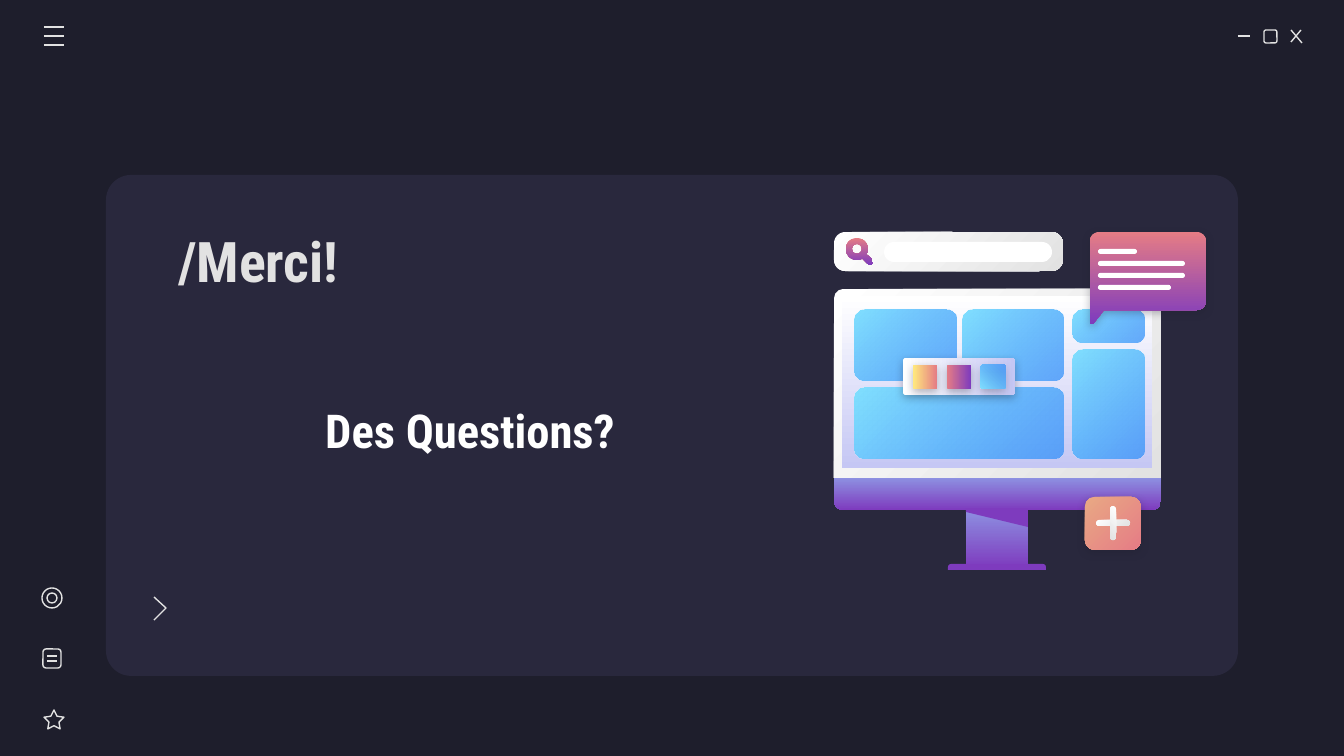
import math
import lxml.etree
import pptx
import pptx.dml.color
import pptx.enum.shapes
import pptx.enum.text
import pptx.oxml.ns
import pptx.util

RGBColor = pptx.dml.color.RGBColor
KIND = pptx.enum.shapes.MSO_SHAPE
qn = pptx.oxml.ns.qn
PX = 9144000 / 1344

NIGHT = RGBColor(0x1E, 0x1E, 0x2C)
PANEL = RGBColor(0x29, 0x28, 0x3D)
SILVER = RGBColor(0xE2, 0xE2, 0xE2)
WHITE = RGBColor(0xFF, 0xFF, 0xFF)
LAVENDER = RGBColor(0xC5, 0xC7, 0xF4)
PERIWINKLE = RGBColor(0x8D, 0x90, 0xE1)
PURPLE = RGBColor(0x7E, 0x3B, 0xBE)
SKY = RGBColor(0x80, 0xDF, 0xFF)
AZURE = RGBColor(0x31, 0x8F, 0xFA)
CORAL = RGBColor(0xE5, 0x7C, 0x85)
PEACH = RGBColor(0xE9, 0xA9, 0x84)
YELLOW = RGBColor(0xFF, 0xEA, 0x7D)

deck = pptx.Presentation()
deck.slide_width = round(1344 * PX)
deck.slide_height = round(756 * PX)
slide = deck.slides.add_slide(deck.slide_layouts[6])
slide.background.fill.solid()
slide.background.fill.fore_color.rgb = NIGHT


def paint(shape, colors, angle=0, shadow=False):
    shape.line.fill.background()
    shape.shadow.inherit = False
    if len(colors) == 1:
        shape.fill.solid()
        shape.fill.fore_color.rgb = colors[0]
    else:
        shape.fill.gradient()
        shape.fill.gradient_angle = -angle % 360
        for stop, color in zip(shape.fill.gradient_stops, colors):
            stop.color.rgb = color
        for tint in shape._element.spPr.iter(qn("a:srgbClr")):
            if tint.get("val") == str(AZURE):
                lxml.etree.SubElement(tint, qn("a:alpha"), val="72000")
    if shadow:
        effects = shape._element.spPr.find(qn("a:effectLst"))
        cast = lxml.etree.SubElement(effects, qn("a:outerShdw"), blurRad="57150", dist="19050",
                                     dir="5400000", algn="bl", rotWithShape="0")
        tint = lxml.etree.SubElement(cast, qn("a:srgbClr"), val=str(NIGHT))
        lxml.etree.SubElement(tint, qn("a:alpha"), val="30000")


def block(kind, box, colors, angle=0, corners=(), shadow=False):
    shape = slide.shapes.add_shape(kind, *[round(v * PX) for v in box])
    for i, corner in enumerate(corners):
        shape.adjustments[i] = corner
    paint(shape, colors, angle, shadow)
    return shape


block(KIND.ROUNDED_RECTANGLE, (106, 175, 1132, 501), [PANEL], corners=[0.05])

for kind, box in [
    (KIND.ROUNDED_RECTANGLE, (1264, 30, 13, 13)),
    (KIND.STAR_5_POINT, (44, 710, 20, 19)),
    (KIND.ROUNDED_RECTANGLE, (43, 649, 18, 19)),
    (KIND.OVAL, (42, 588, 20, 20)),
    (KIND.OVAL, (47, 593, 10, 10)),
]:
    icon = block(kind, box, [NIGHT], corners=[0.25] if kind == KIND.STAR_5_POINT else [])
    icon.fill.background()
    icon.line.color.rgb = SILVER
    icon.line.width = pptx.util.Pt(0.75)

strokes = [(1238, 36, 1250, 36), (1291, 30, 1302, 43), (1301, 30, 1291, 42)]
strokes += [(44, y, 64, y) for y in (27, 36, 45)]
strokes += [(47, y, 57, y) for y in (656, 661)]
for ends in strokes:
    stroke = slide.shapes.add_connector(pptx.enum.shapes.MSO_CONNECTOR.STRAIGHT,
                                        *[round(v * PX) for v in ends])
    stroke.line.color.rgb = SILVER
    stroke.line.width = pptx.util.Pt(0.75)
    lxml.etree.SubElement(stroke._element.spPr, qn("a:effectLst"))

pen = slide.shapes.build_freeform(154 * PX, 597 * PX)
pen.add_line_segments([(166 * PX, 608 * PX), (154 * PX, 620 * PX)], close=False)
chevron = pen.convert_to_shape()
chevron.fill.background()
chevron.shadow.inherit = False
chevron.line.color.rgb = SILVER
chevron.line.width = pptx.util.Pt(0.75)

block(KIND.ROUND_2_SAME_RECTANGLE, (834, 289, 327, 189), [WHITE, SILVER], 45, [0.05, 0])
block(KIND.ROUND_2_SAME_RECTANGLE, (834, 478, 327, 32), [PERIWINKLE, PURPLE], 90, [0, 0.28])
block(KIND.RECTANGLE, (842, 296, 310, 172), [WHITE, LAVENDER], 90)
block(KIND.RECTANGLE, (966, 510, 62, 58), [PERIWINKLE, PURPLE], 90)
block(KIND.ROUND_2_SAME_RECTANGLE, (948, 564, 98, 6), [PURPLE], corners=[0.5, 0])

pen = slide.shapes.build_freeform(966 * PX, 508 * PX)
pen.add_line_segments([(x * PX, y * PX) for x, y in [(966, 512), (1028, 527), (1028, 508)]])
paint(pen.convert_to_shape(), [PURPLE])

for tile in [(855, 310, 101, 71), (855, 388, 208, 71), (963, 310, 100, 71),
             (1072, 310, 72, 33), (1072, 350, 72, 109)]:
    block(KIND.ROUNDED_RECTANGLE, tile, [SKY, AZURE], 45, [10 / min(tile[2:])])

bubble_outline = [(1104, 310), (1093, 324), (1090, 323)]
for x, y, start in [(1099, 241, 180), (1197, 241, 270), (1197, 301, 0)]:
    for turn in range(0, 91, 15):
        a = math.radians(start + turn)
        bubble_outline.append((x + 9 * math.cos(a), y + 9 * math.sin(a)))
bubble_outline = [(x * PX, y * PX) for x, y in bubble_outline]
pen = slide.shapes.build_freeform(*bubble_outline[0])
pen.add_line_segments(bubble_outline[1:])
paint(pen.convert_to_shape(), [CORAL, PURPLE], 90, shadow=True)

for row, width in enumerate([39, 87, 87, 73]):
    block(KIND.ROUNDED_RECTANGLE, (1098, 249 + 12 * row, width, 5), [WHITE], corners=[0.5])

block(KIND.ROUNDED_RECTANGLE, (1085, 497, 56, 53), [PEACH, CORAL], 45, [0.18], True)
for turn in (0, 90):
    plus_bar = block(KIND.ROUNDED_RECTANGLE, (1096, 520, 34, 6), [WHITE, SILVER], 45, [0.5])
    plus_bar.rotation = turn

block(KIND.ROUNDED_RECTANGLE, (903, 358, 112, 37), [WHITE, LAVENDER], 0, [0.07], True)
for i, (colors, angle) in enumerate([([YELLOW, CORAL], 0), ([CORAL, PURPLE], 0), ([SKY, AZURE], 315)]):
    block(KIND.ROUNDED_RECTANGLE, (913 + 34 * i, 365, 24, 24), colors, angle, [0.07], True)

block(KIND.ROUNDED_RECTANGLE, (834, 232, 229, 39), [WHITE, SILVER], 45, [0.29])

rim, hole = [[((857 + r * math.cos(math.radians(a))) * PX, (249 + r * math.sin(math.radians(a))) * PX)
              for a in range(first, last, 15)]
             for r, first, last in [(11, 60, 391), (5, 0, 360)]]
handle = [(x * PX, y * PX) for x, y in [(872, 259), (873, 263), (871, 265), (868, 264)]]
pen = slide.shapes.build_freeform(*rim[0])
pen.add_line_segments(rim[1:] + handle)
pen.move_to(*hole[0])
pen.add_line_segments(hole[1:])
paint(pen.convert_to_shape(), [CORAL, PURPLE], 90)

block(KIND.ROUNDED_RECTANGLE, (884, 242, 168, 20), [WHITE], corners=[0.5])

for words, box, size, color, wrap in [
    ("/Merci!", (165, 218, 1133, 85), 30, SILVER, True),
    ("Des Questions?", (312, 395, 321, 70), 25, WHITE, False),
]:
    frame = slide.shapes.add_textbox(*[round(v * PX) for v in box]).text_frame
    frame.text = words
    frame.word_wrap = wrap
    if wrap:
        frame.vertical_anchor = pptx.enum.text.MSO_ANCHOR.MIDDLE
    else:
        frame.auto_size = pptx.enum.text.MSO_AUTO_SIZE.SHAPE_TO_FIT_TEXT
    font = frame.paragraphs[0].runs[0].font
    font.name = "Roboto Condensed"
    font.size = pptx.util.Pt(size)
    font.bold = True
    font.color.rgb = color

deck.save("out.pptx")
